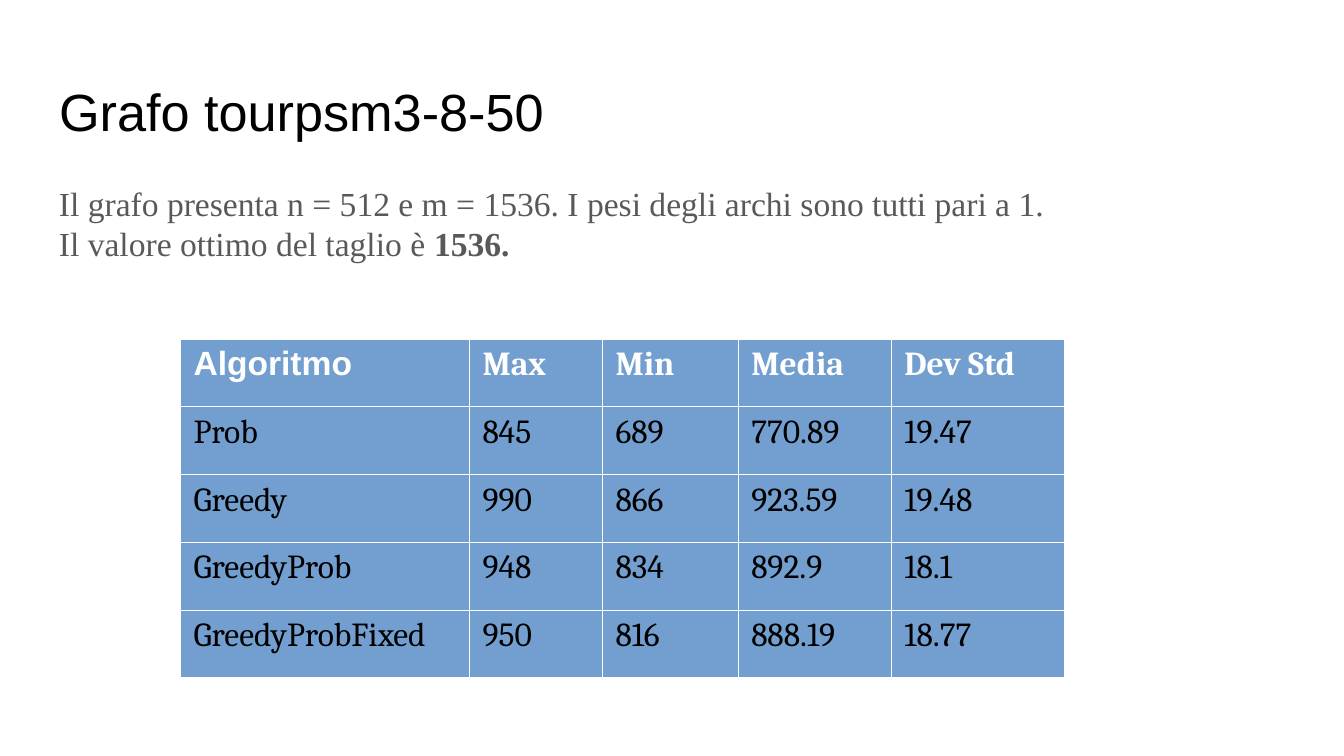
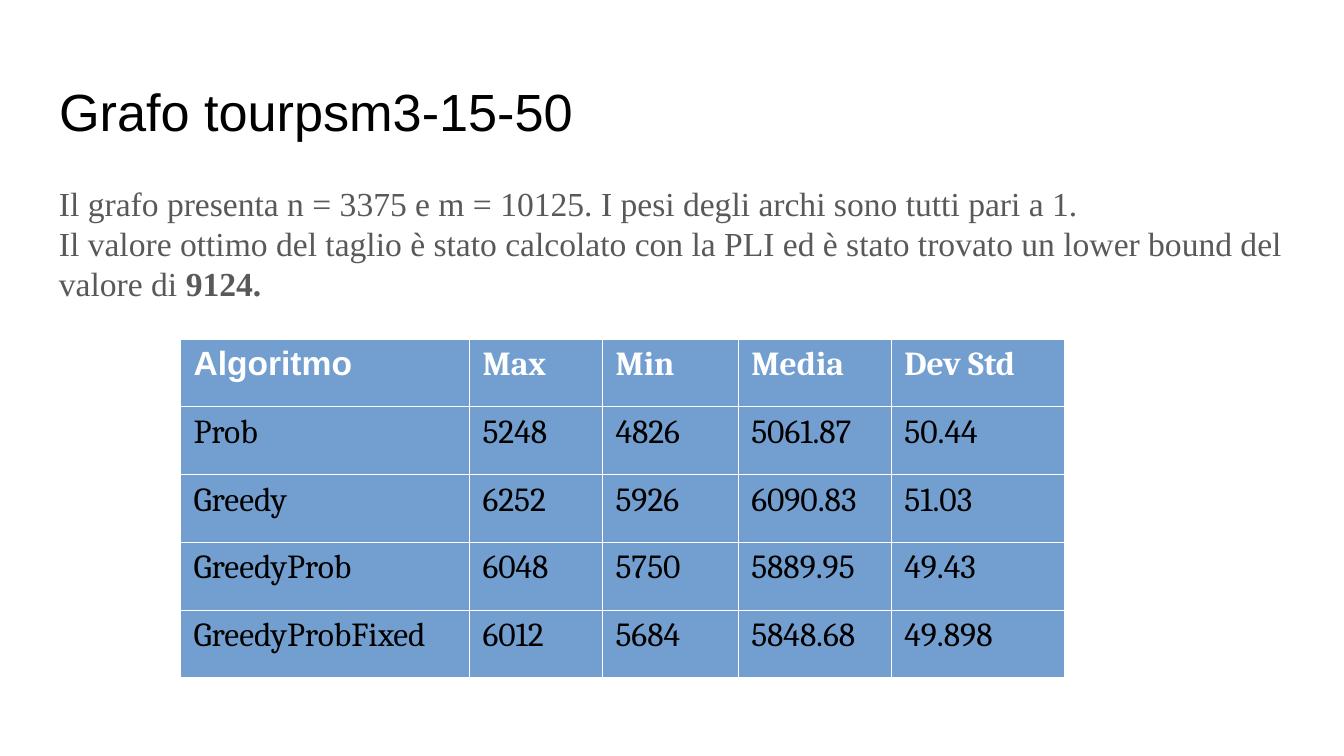
from pptx import Presentation
from pptx.dml.color import RGBColor
from pptx.enum.text import MSO_ANCHOR, MSO_AUTO_SIZE, PP_ALIGN
from pptx.oxml import parse_xml
from pptx.oxml.ns import nsdecls
from pptx.util import Inches, Pt

HUES = {"ink": "000000", "grey": "595959", "blue": "729FCF", "white": "FFFFFF"}
HEADS = ["Algoritmo", "Max", "Min", "Media", "Dev Std"]
NAMES = ["Prob", "Greedy", "GreedyProb", "GreedyProbFixed"]
WIDTHS = [2.15, 0.99, 1.01, 1.14, 1.29]
HIGH = 2.52

GRAPHS = [
    {
        "title": "Grafo tourpsm3-8-50",
        "size": "Il grafo presenta n = 512 e m = 1536. I pesi degli archi sono tutti pari a 1.",
        "best": ("Il valore ottimo del taglio è ", "1536."),
        "stats": [
            ["845", "689", "770.89", "19.47"],
            ["990", "866", "923.59", "19.48"],
            ["948", "834", "892.9", "18.1"],
            ["950", "816", "888.19", "18.77"],
        ],
    },
    {
        "title": "Grafo tourpsm3-15-50",
        "size": "Il grafo presenta n = 3375 e m = 10125. I pesi degli archi sono tutti pari a 1.",
        "best": ("Il valore ottimo del taglio è stato calcolato con la PLI ed è stato "
                 "trovato un lower bound del valore di ", "9124."),
        "stats": [
            ["5248", "4826", "5061.87", "50.44"],
            ["6252", "5926", "6090.83", "51.03"],
            ["6048", "5750", "5889.95", "49.43"],
            ["6012", "5684", "5848.68", "49.898"],
        ],
    },
]


def style(para, face, size, hue, bold=None):
    para.alignment = PP_ALIGN.LEFT
    font = para.font
    font.name, font.size, font.bold = face, Pt(size), bold
    font.color.rgb = RGBColor.from_string(HUES[hue])


def frame(box, top, high):
    box.left, box.top = Inches(0.34), Inches(top)
    box.width, box.height = Inches(9.32), Inches(high)
    text = box.text_frame
    text.word_wrap = True
    text.auto_size = MSO_AUTO_SIZE.NONE
    text.vertical_anchor = MSO_ANCHOR.TOP
    text.margin_left = text.margin_right = Inches(0.1)
    text.margin_top = text.margin_bottom = Inches(0.1)
    for para in text.paragraphs:
        para.line_spacing = 1.0
        para.space_before = Pt(0)


# Widescreen page, 16 by 9
deck = Presentation()
deck.slide_width, deck.slide_height = Inches(10), Inches(10 * 9 / 16)

for graph in GRAPHS:
    slide = deck.slides.add_slide(deck.slide_layouts[5])

    # Title
    title = slide.shapes.title
    title.text_frame.text = graph["title"]
    frame(title, 0.49, 0.63)
    style(title.text_frame.paragraphs[0], "Arial", 28, "ink")

    # Graph size and best cut
    body = slide.shapes.add_textbox(0, 0, 0, 0)
    body.text_frame.text = graph["size"]
    best = body.text_frame.add_paragraph()
    lead, value = graph["best"]
    best.add_run().text = lead
    bold = best.add_run()
    bold.text, bold.font.bold = value, True
    frame(body, 1.26, 3.74)
    for para in body.text_frame.paragraphs:
        style(para, "Times New Roman", 18, "grey")

    # Results table
    rows = [HEADS] + [[name] + stats for name, stats in zip(NAMES, graph["stats"])]
    table = slide.shapes.add_table(
        len(rows), len(HEADS), Inches(1.34), Inches(2.52),
        Inches(sum(WIDTHS)), Inches(HIGH)).table
    for col, width in zip(table.columns, WIDTHS):
        col.width = Inches(width)
    for r, row in enumerate(rows):
        table.rows[r].height = Inches(HIGH / len(rows))
        for c, word in enumerate(row):
            cell = table.cell(r, c)
            cell.text = word
            face = "Arial" if r == c == 0 else "Cambria"
            style(cell.text_frame.paragraphs[0], face, 18,
                  "ink" if r else "white", r == 0)
            # Borders come before the fill in the cell properties
            props = cell._tc.get_or_add_tcPr()
            for side in ("lnL", "lnR", "lnT", "lnB"):
                props.append(parse_xml(
                    f'<a:{side} {nsdecls("a")} w="762"><a:solidFill>'
                    f'<a:srgbClr val="{HUES["white"]}"/></a:solidFill></a:{side}>'))
            cell.fill.solid()
            cell.fill.fore_color.rgb = RGBColor.from_string(HUES["blue"])

deck.save("out.pptx")
